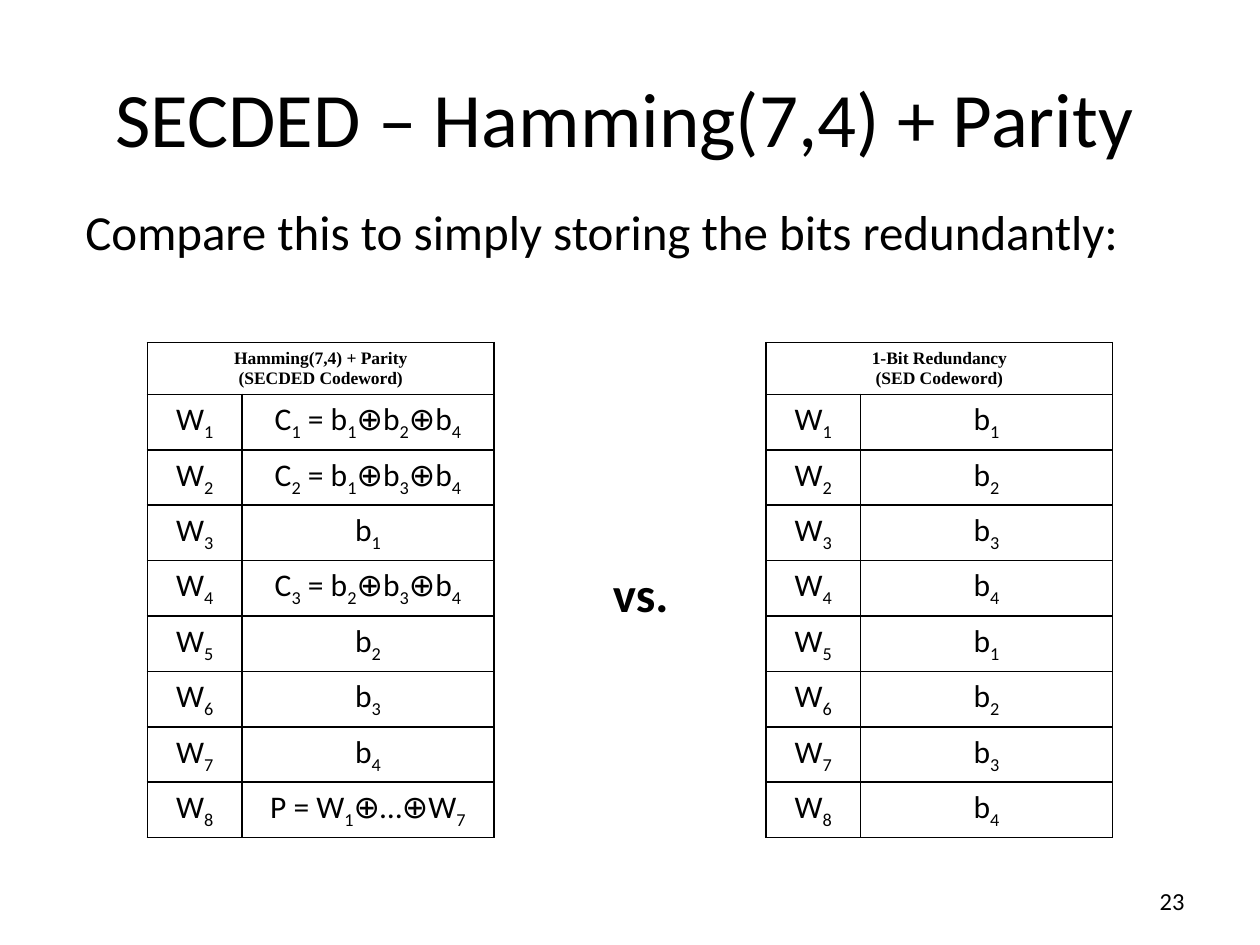
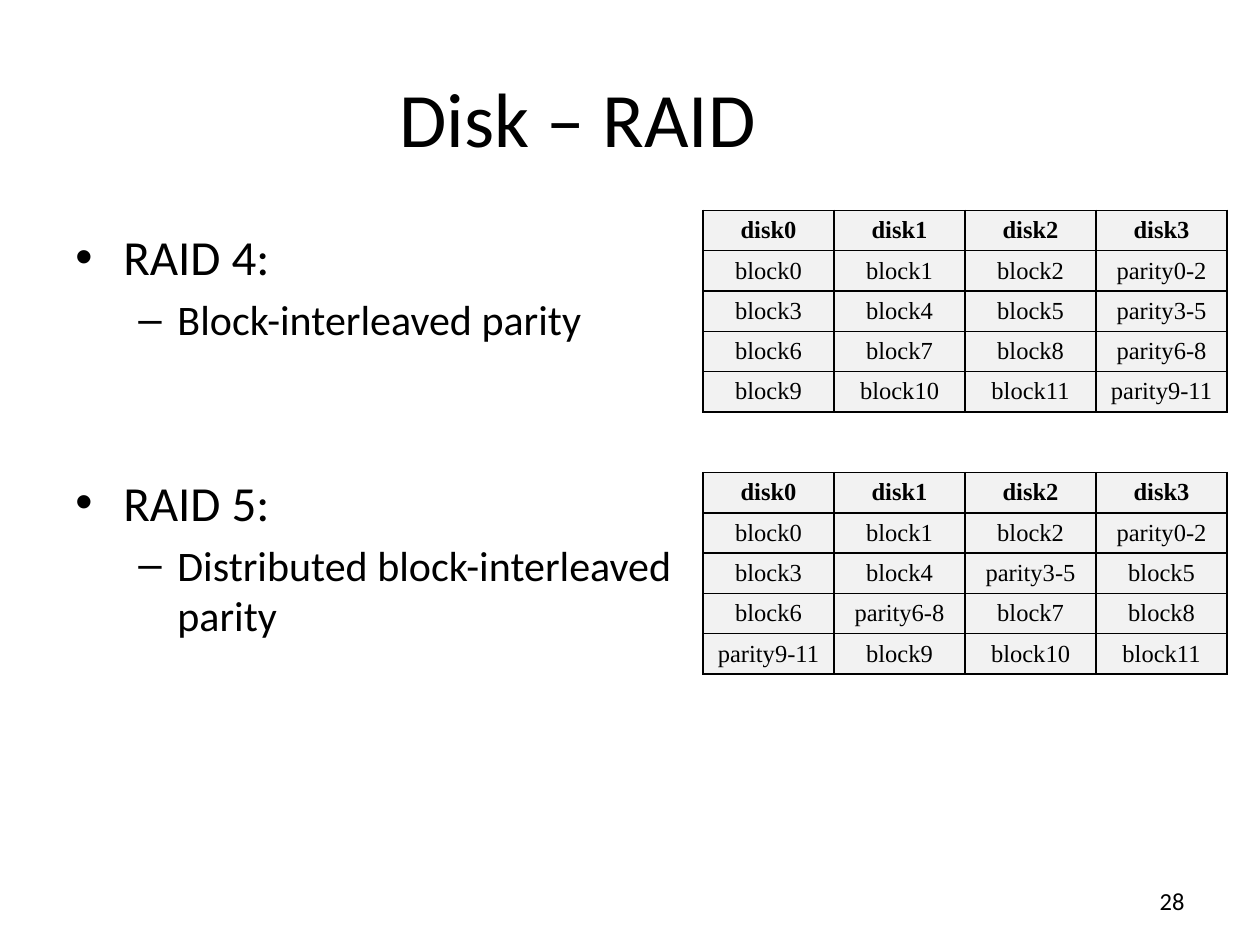
"""Build two lecture slides on error-correcting codes and RAID layouts."""
from itertools import groupby

from lxml import etree
from pptx import Presentation
from pptx import util as u
from pptx.dml.color import RGBColor
from pptx.enum import text as t
from pptx.oxml import ns

BLACK = RGBColor(0x00, 0x00, 0x00)
GREY = RGBColor(0xF2, 0xF2, 0xF2)
SANS, SERIF = "Calibri", "Times New Roman"
LEFT, CENTER, RIGHT = t.PP_ALIGN.LEFT, t.PP_ALIGN.CENTER, t.PP_ALIGN.RIGHT
TOP, MIDDLE = t.MSO_ANCHOR.TOP, t.MSO_ANCHOR.MIDDLE


def add_text(page, words, at, size, align=LEFT, anchor=MIDDLE, bold=False):
    """Add a wrapped text box in the sans font."""
    box = page.shapes.add_textbox(*map(u.Inches, at))
    frame = box.text_frame
    frame.word_wrap = True
    frame.vertical_anchor = anchor
    frame.text = words
    for para in frame.paragraphs:
        para.alignment = align
        for span in para.runs:
            span.font.name, span.font.size = SANS, u.Pt(size)
            span.font.bold, span.font.color.rgb = bold, BLACK
    return frame


def add_grid(page, rows, at, widths, heights, head_size, body_font, body_size, fill=None, subscripts=False):
    """Add a bordered table with a bold serif heading row."""
    left, top = at
    frame = page.shapes.add_table(len(rows), len(widths), u.Inches(left), u.Inches(top),
                                  u.Inches(sum(widths)), u.Inches(sum(heights)))
    grid = frame.table
    grid.first_row = grid.horz_banding = False
    for column, width in zip(grid.columns, widths):
        column.width = u.Inches(width)
    for line, height in zip(grid.rows, heights):
        line.height = u.Inches(height)
    for r, row in enumerate(rows):
        if len(row) < len(widths):
            grid.cell(r, 0).merge(grid.cell(r, len(widths) - 1))
        for c in range(len(widths)):
            cell = grid.cell(r, c)
            cell.vertical_anchor = MIDDLE
            cell.margin_left = cell.margin_right = u.Inches(0.05)
            cell.margin_top = cell.margin_bottom = u.Inches(0.03)
            if fill is None:
                cell.fill.background()
            else:
                cell.fill.solid()
                cell.fill.fore_color.rgb = fill
            for index, side in enumerate(("lnL", "lnR", "lnT", "lnB")):
                edge = etree.Element(ns.qn(f"a:{side}"), w=str(u.Pt(1)))
                solid = etree.SubElement(edge, ns.qn("a:solidFill"))
                etree.SubElement(solid, ns.qn("a:srgbClr"), val=str(BLACK))
                cell._tc.get_or_add_tcPr().insert(index, edge)
            if c >= len(row):
                continue
            if subscripts and r > 0:
                para = cell.text_frame.paragraphs[0]
                for is_digit, letters in groupby(row[c], str.isdigit):
                    span = para.add_run()
                    span.text = "".join(letters)
                    if is_digit:
                        span._r.get_or_add_rPr().set("baseline", "-25000")
            else:
                cell.text_frame.text = row[c]
            for para in cell.text_frame.paragraphs:
                para.alignment = CENTER
                for span in para.runs:
                    span.font.name = body_font if r else SERIF
                    span.font.size = u.Pt(body_size if r else head_size)
                    span.font.bold = r == 0
                    span.font.color.rgb = BLACK


deck = Presentation()
deck.slide_width, deck.slide_height = u.Inches(10), u.Inches(7.5)
pages = []
for title, title_width, number in (("SECDED – Hamming(7,4) + Parity", 8.92, "23"), ("Disk – RAID", 8.17, "28")):
    page = deck.slides.add_slide(deck.slide_layouts[6])
    add_text(page, title, (0.5, 0.3, title_width, 1.25), 44, CENTER)
    add_text(page, number, (8.33, 6.95, 1.17, 0.4), 14, RIGHT)
    pages.append(page)
hamming_page, raid_page = pages

add_text(hamming_page, "Compare this to simply storing the bits redundantly:", (0.58, 1.55, 9.26, 1.04), 28, anchor=TOP)
add_text(hamming_page, "vs.", (4.5, 4.33, 1.17, 0.75), 28, CENTER, bold=True)
secded = ["C1 = b1⊕b2⊕b4", "C2 = b1⊕b3⊕b4", "b1", "C3 = b2⊕b3⊕b4", "b2", "b3", "b4", "P = W1⊕…⊕W7"]
sed = ["b1", "b2", "b3", "b4"] * 2
for left, heading, bits in ((1.17, "Hamming(7,4) + Parity\n(SECDED Codeword)", secded),
                            (6.08, "1-Bit Redundancy\n(SED Codeword)", sed)):
    rows = [[heading]] + [[f"W{i}", bit] for i, bit in enumerate(bits, 1)]
    add_grid(hamming_page, rows, (left, 2.72), [0.75, 2], [0.41] + [0.44] * 8, 10, SANS, 18, subscripts=True)

outline = [("RAID 4:", 0, 0), ("Block-interleaved parity", 1, 4.8),
           ("RAID 5:", 0, 73), ("Distributed block-interleaved parity", 1, 4.8)]
bullets = [("•", 0.38, -0.38, 28), ("–", 0.81, -0.31, 24)]
body = add_text(raid_page, "\n".join(words for words, _, _ in outline), (0.5, 1.75, 5.25, 4.95), 28, anchor=TOP)
for para, (_, level, gap) in zip(body.paragraphs, outline):
    mark, margin, indent, size = bullets[level]
    props = para._p.get_or_add_pPr()
    props.set("marL", str(u.Inches(margin)))
    props.set("indent", str(u.Inches(indent)))
    etree.SubElement(props, ns.qn("a:buFont"), typeface="Arial")
    etree.SubElement(props, ns.qn("a:buChar"), char=mark)
    para.level = level
    para.space_before = u.Pt(gap)
    para.runs[0].font.size = u.Pt(size)

for top, distributed in ((1.67, False), (3.75, True)):
    rows = [[f"disk{i}" for i in range(4)]]
    for stripe in range(4):
        first = 3 * stripe
        row = [f"block{first + i}" for i in range(3)]
        row.insert(3 - stripe if distributed else 3, f"parity{first}-{first + 2}")
        rows.append(row)
    add_grid(raid_page, rows, (5.58, top), [1.04] * 4, [0.32] * 5, 14, SERIF, 14, fill=GREY)

deck.save("out.pptx")
